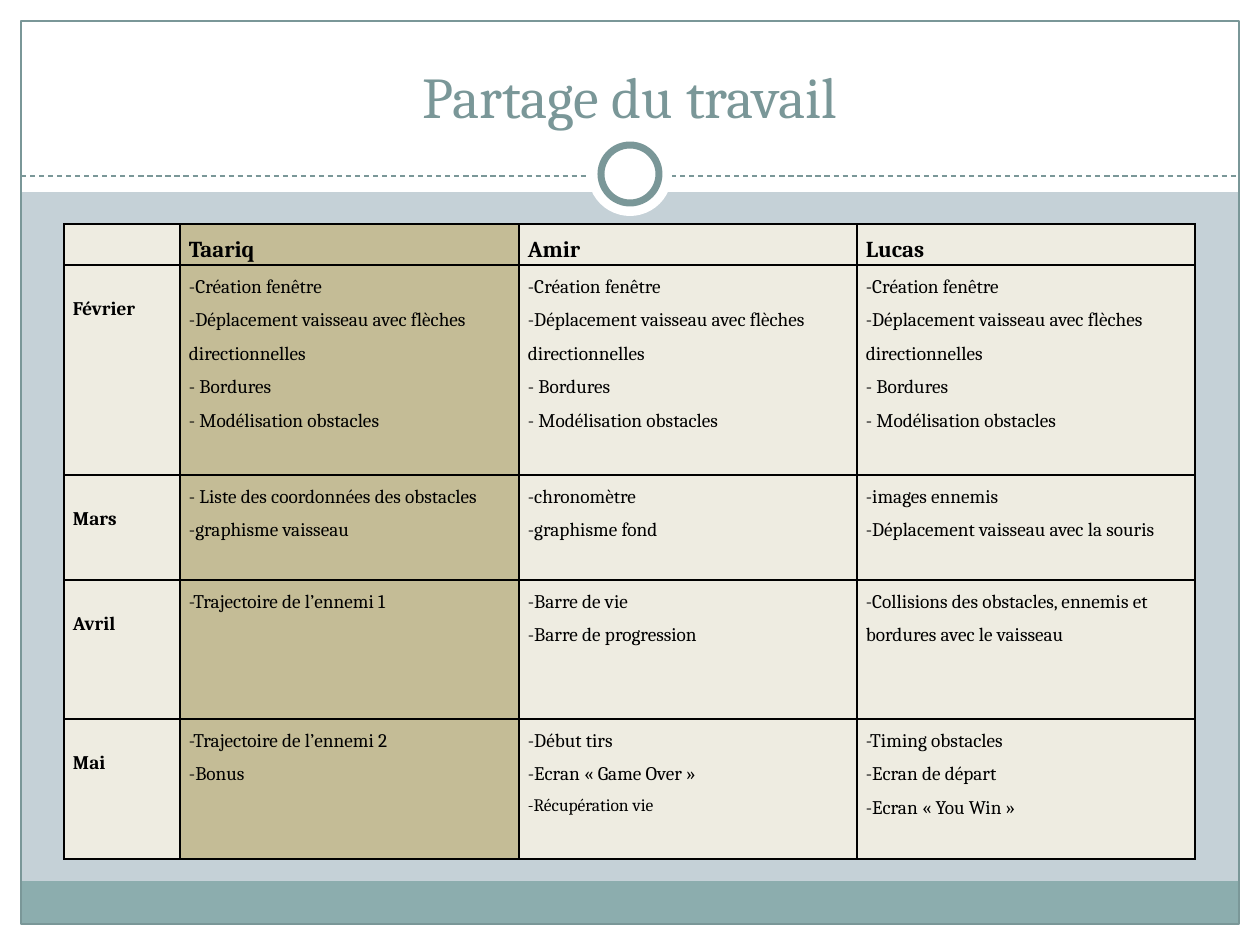
from lxml.etree import SubElement
from pptx import Presentation
from pptx.dml.color import RGBColor
from pptx.enum.dml import MSO_LINE
from pptx.enum.shapes import MSO_CONNECTOR, MSO_SHAPE
from pptx.enum.text import MSO_ANCHOR, MSO_AUTO_SIZE, PP_ALIGN
from pptx.oxml.ns import qn
from pptx.util import Emu, Pt

# Content
TITLE = "Partage du travail"
NAMES = ["Taariq", "Amir", "Lucas"]
FEBRUARY_TASKS = [
    "-Création fenêtre",
    "-Déplacement vaisseau avec flèches directionnelles",
    "- Bordures",
    "- Modélisation obstacles",
]
MONTHS = [
    ("Février", [FEBRUARY_TASKS] * 3),
    ("Mars", [
        ["- Liste des coordonnées des obstacles", "-graphisme vaisseau"],
        ["-chronomètre", "-graphisme fond"],
        ["-images ennemis", "-Déplacement vaisseau avec la souris"],
    ]),
    ("Avril", [
        ["-Trajectoire de l’ennemi 1"],
        ["-Barre de vie", "-Barre de progression"],
        ["-Collisions des obstacles, ennemis et bordures avec le vaisseau"],
    ]),
    ("Mai", [
        ["-Trajectoire de l’ennemi 2", "-Bonus"],
        ["-Début tirs", "-Ecran « Game Over »", "-Récupération vie"],
        ["-Timing obstacles", "-Ecran de départ", "-Ecran « You Win »"],
    ]),
]
SMALL_TASKS = {"-Récupération vie"}

# Style and geometry (px)
FONT = "Cambria"
COLORS = {
    "background": "C5D1D7", "white": "FFFFFF", "band": "8CADAE",
    "accent": "7A9798", "cell": "EEECE1", "highlight": "C4BC96",
    "black": "000000",
}
WIDTH, HEIGHT, MARGIN = 1260, 945, 21
INNER_WIDTH, INNER_HEIGHT = WIDTH - 2 * MARGIN, HEIGHT - 2 * MARGIN
HEADER_HEIGHT, BAND_HEIGHT, DIVIDER_Y = 192, 43, 176
RING_CENTER = (WIDTH // 2, 174)
TABLE_LEFT, TABLE_TOP = 64, 224
COLUMN_WIDTHS = [116, 339, 338, 338]
ROW_HEIGHTS = [41, 210, 105, 139, 140]
CELL_INSET, MONTH_DROP = 9, 22


def px(value):
    return Emu(round(value * 914400 / 126))


def color(name):
    return RGBColor.from_string(COLORS[name])


def add_block(slide, kind, box, fill=None, line=None, line_width=0.75):
    shape = slide.shapes.add_shape(kind, *map(px, box))
    shape.shadow.inherit = False
    if fill:
        shape.fill.solid()
        shape.fill.fore_color.rgb = color(fill)
    else:
        shape.fill.background()
    if line:
        shape.line.color.rgb = color(line)
        shape.line.width = Pt(line_width)
    else:
        shape.line.fill.background()


def add_circle(slide, diameter, **style):
    center_x, center_y = RING_CENTER
    box = (center_x - diameter / 2, center_y - diameter / 2, diameter, diameter)
    add_block(slide, MSO_SHAPE.OVAL, box, "white", **style)


def add_text(paragraph, text, size, color_name, bold=False):
    run = paragraph.add_run()
    run.text = text
    run.font.name = FONT
    run.font.size = Pt(size)
    run.font.bold = bold
    run.font.color.rgb = color(color_name)


def add_decor(slide):
    bars = [
        (0, HEIGHT - MARGIN, WIDTH, MARGIN, "white"),
        (0, 0, WIDTH, HEADER_HEIGHT, "white"),
        (0, 0, MARGIN, HEIGHT, "white"),
        (WIDTH - MARGIN, 0, MARGIN, HEIGHT, "white"),
        (MARGIN, HEIGHT - MARGIN - BAND_HEIGHT, INNER_WIDTH, BAND_HEIGHT, "band"),
    ]
    for *box, fill in bars:
        add_block(slide, MSO_SHAPE.RECTANGLE, box, fill)
    frame = (MARGIN, MARGIN, INNER_WIDTH, INNER_HEIGHT)
    add_block(slide, MSO_SHAPE.RECTANGLE, frame, line="accent")

    divider = slide.shapes.add_connector(
        MSO_CONNECTOR.STRAIGHT, px(MARGIN), px(DIVIDER_Y), px(WIDTH - MARGIN), px(DIVIDER_Y))
    divider.line.color.rgb = color("accent")
    divider.line.width = Pt(0.75)
    divider.line.dash_style = MSO_LINE.DASH
    SubElement(divider._element.spPr, qn("a:effectLst"))

    add_circle(slide, 84)
    add_circle(slide, 58, line="accent", line_width=4)


def format_title(slide):
    title = slide.shapes.title
    title.left, title.top, title.width, title.height = map(px, (42, 31, 1176, 105))
    frame = title.text_frame
    frame.word_wrap = True
    frame.auto_size = MSO_AUTO_SIZE.NONE
    frame.vertical_anchor = MSO_ANCHOR.BOTTOM
    paragraph = frame.paragraphs[0]
    paragraph.alignment = PP_ALIGN.CENTER
    add_text(paragraph, TITLE, 33, "accent")
    # Bring the title in front of the header band
    slide.shapes._spTree.append(title._element)


def format_cell(cell, fill):
    cell.margin_left = cell.margin_right = px(CELL_INSET)
    cell.margin_top = cell.margin_bottom = 0
    properties = cell._tc.get_or_add_tcPr()
    for side in ("a:lnL", "a:lnR", "a:lnT", "a:lnB"):
        border = SubElement(properties, qn(side), w=str(Pt(1)))
        solid = SubElement(border, qn("a:solidFill"))
        SubElement(solid, qn("a:srgbClr"), val=COLORS["black"])
    cell.fill.solid()
    cell.fill.fore_color.rgb = color(fill)


def fill_cell(cell, lines, size, bold=False):
    frame = cell.text_frame
    for index, line in enumerate(lines):
        paragraph = frame.add_paragraph() if index else frame.paragraphs[0]
        paragraph.line_spacing = 1.5
        add_text(paragraph, line, 10 if line in SMALL_TASKS else size, "black", bold)


def add_schedule(slide):
    table = slide.shapes.add_table(
        len(ROW_HEIGHTS), len(COLUMN_WIDTHS), px(TABLE_LEFT), px(TABLE_TOP),
        px(sum(COLUMN_WIDTHS)), px(sum(ROW_HEIGHTS))).table
    table.first_row = table.horz_banding = False
    for column, width in zip(table.columns, COLUMN_WIDTHS):
        column.width = px(width)
    for row, height in zip(table.rows, ROW_HEIGHTS):
        row.height = px(height)
        for index, cell in enumerate(row.cells):
            format_cell(cell, "highlight" if index == 1 else "cell")

    for column, name in enumerate(NAMES, 1):
        fill_cell(table.cell(0, column), [name], 13, bold=True)
    for row, (month, task_lists) in enumerate(MONTHS, 1):
        month_cell = table.cell(row, 0)
        month_cell.margin_top = px(MONTH_DROP)
        fill_cell(month_cell, [month], 11, bold=True)
        for column, tasks in enumerate(task_lists, 1):
            fill_cell(table.cell(row, column), tasks, 11)


def main():
    presentation = Presentation()
    presentation.slide_width, presentation.slide_height = px(WIDTH), px(HEIGHT)
    slide = presentation.slides.add_slide(presentation.slide_layouts.get_by_name("Title Only"))
    slide.background.fill.solid()
    slide.background.fill.fore_color.rgb = color("background")
    add_decor(slide)
    format_title(slide)
    add_schedule(slide)
    presentation.save("out.pptx")


if __name__ == "__main__":
    main()
